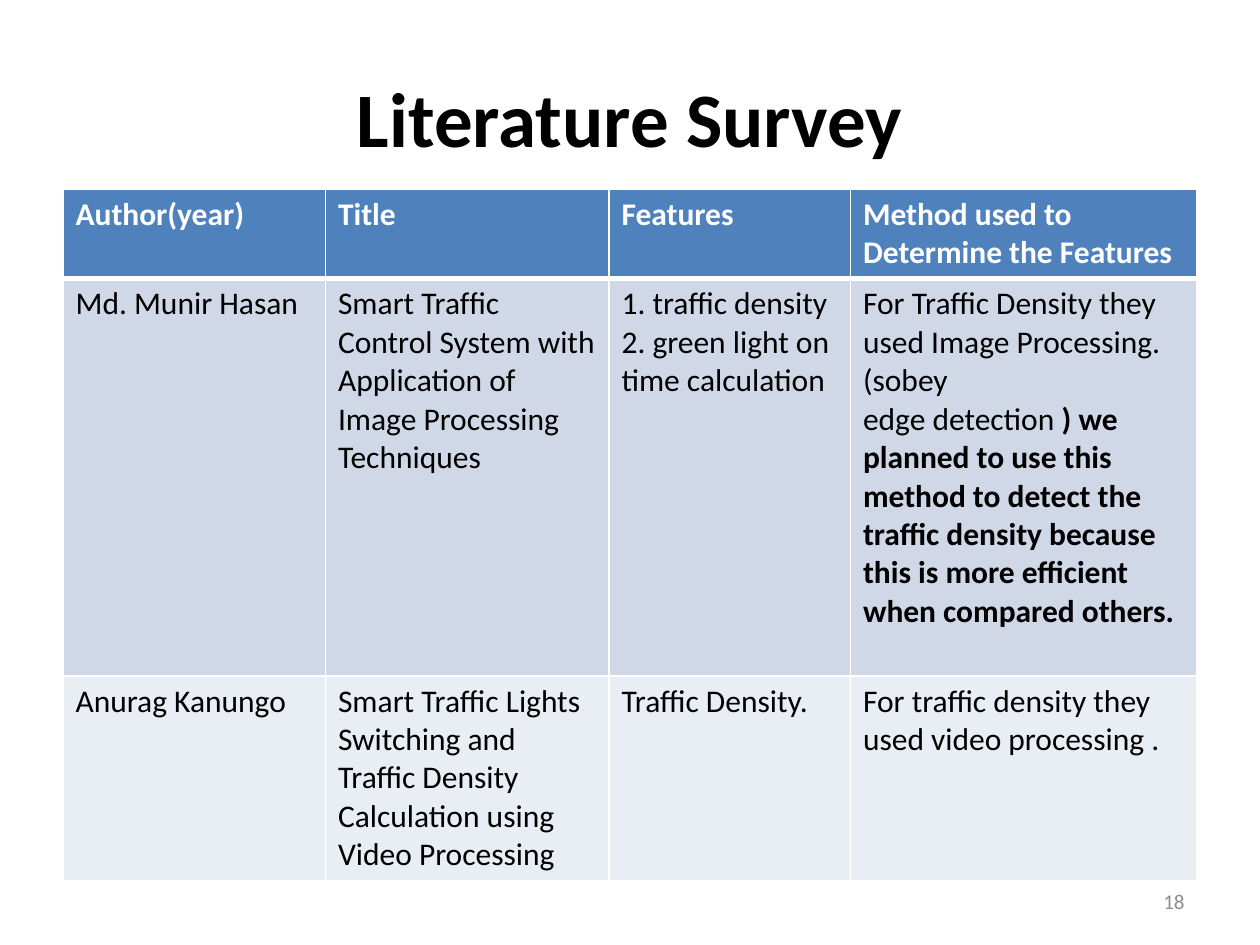
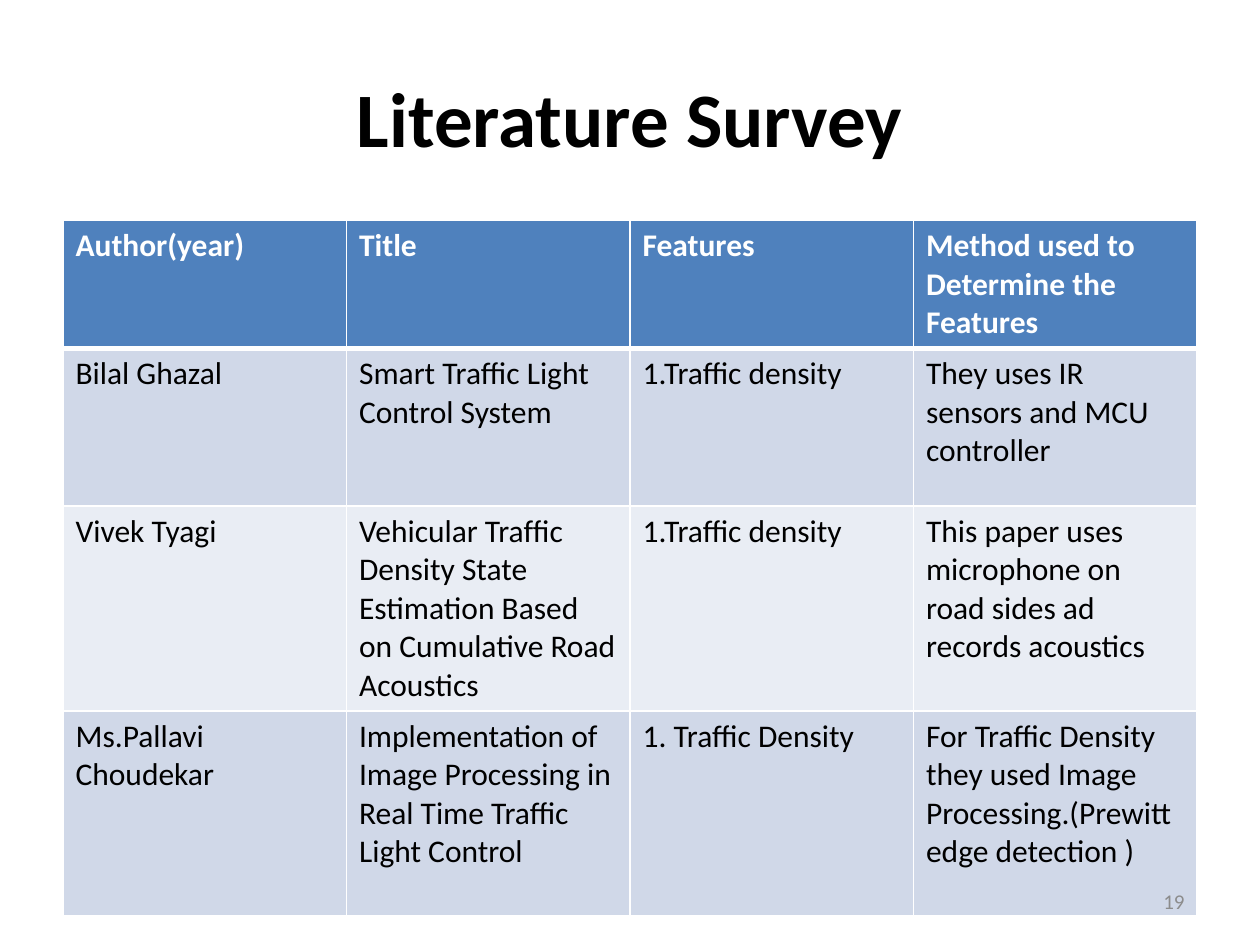
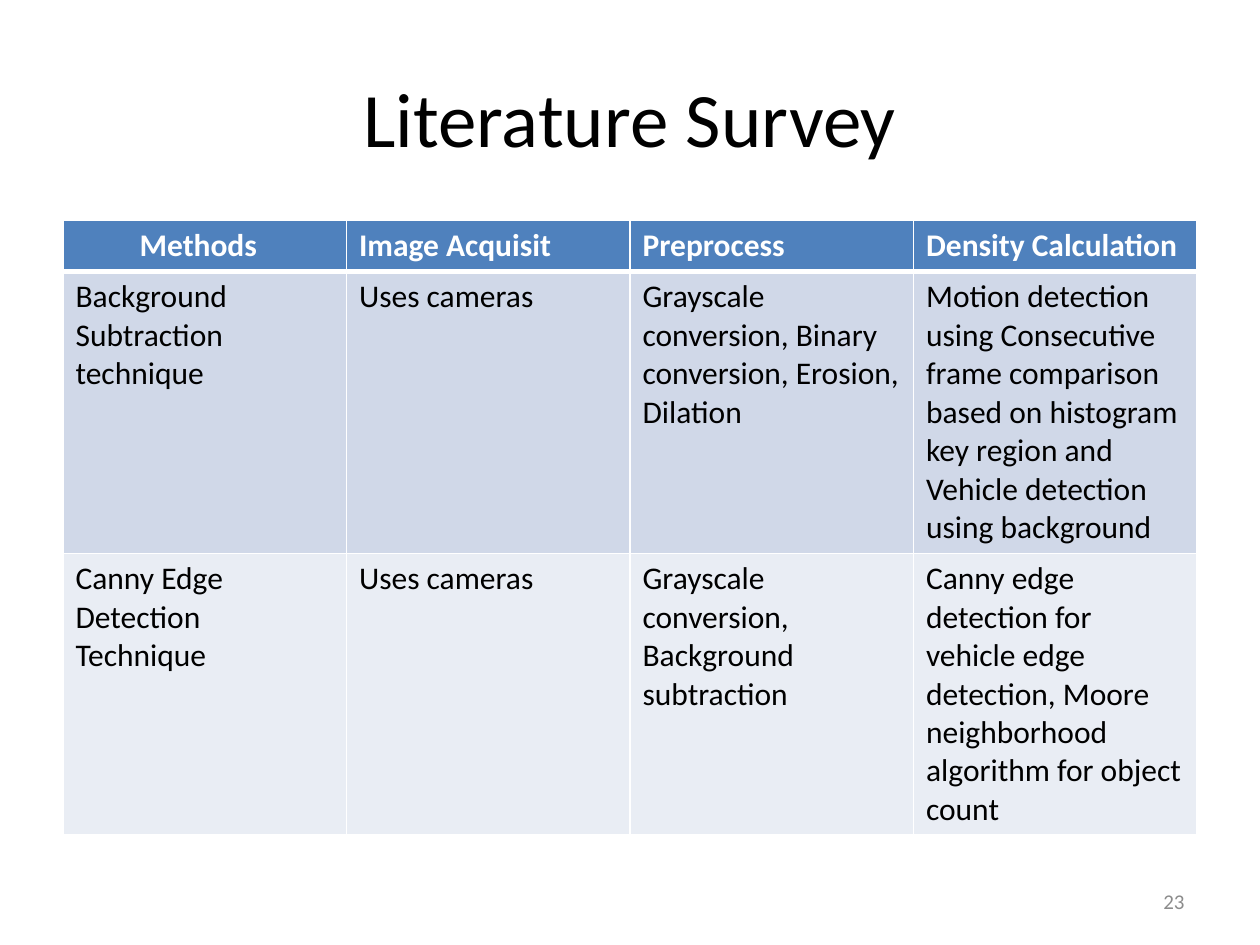
from lxml import etree
from pptx import Presentation
from pptx.dml.color import RGBColor
from pptx.enum.text import MSO_ANCHOR, PP_ALIGN
from pptx.oxml.ns import qn
from pptx.util import Pt

LEFT, CENTER, RIGHT = PP_ALIGN.LEFT, PP_ALIGN.CENTER, PP_ALIGN.RIGHT
MIDDLE = MSO_ANCHOR.MIDDLE

FONT = "Calibri"
BLACK, WHITE, GRAY = "000000", "FFFFFF", "8C8C8C"
HEADER_FILL = "4F81BD"
BAND_FILLS = ("D0D8E8", "E9EDF4")

SLIDE_SIZE = (720, 540)
TITLE_BOX = (36, 21.6, 648, 90)
NUMBER_BOX = (516, 500.4, 168, 28.8)
TABLE_LEFT, TABLE_WIDTH = 36, 648
EQUAL_COLUMNS = [TABLE_WIDTH / 4] * 4

SURVEY_HEADER = ["Author(year)", "Title", "Features", "Method used to Determine the Features"]

# A cell is a string or a list of paragraphs; a paragraph is a string or a list of (text, bold) runs.
SLIDES = [
    {
        "title": "Literature Survey", "title_bold": True, "number": "18", "table_top": 108,
        "columns": [150, 162, 138, 198], "row_heights": [51, 227, 117],
        "rows": [
            SURVEY_HEADER,
            ["Md. Munir Hasan",
             "Smart Trafﬁc Control System with Application of Image Processing Techniques",
             ["1. traffic density", "2. green light on time calculation"],
             ["For Traffic Density they used Image Processing. (sobey",
              [("edge detection ", False),
               (") we planned to use this method to detect the traffic density because "
                "this is more efficient when compared others.", True)]]],
            ["Anurag Kanungo",
             "Smart Traffic Lights Switching and Traffic Density Calculation using Video Processing",
             "Traffic Density.",
             "For traffic density they used video processing ."],
        ],
    },
    {
        "title": "Literature Survey", "title_bold": True, "number": "19", "table_top": 126,
        "columns": EQUAL_COLUMNS, "row_heights": [73, 90, 117, 117],
        "rows": [
            SURVEY_HEADER,
            ["Bilal Ghazal", "Smart Traffic Light Control System", "1.Traffic density",
             "They uses IR sensors and MCU controller"],
            ["Vivek Tyagi",
             "Vehicular Trafﬁc Density State Estimation Based on Cumulative Road Acoustics",
             "1.Traffic density",
             "This paper uses microphone on road sides ad records acoustics"],
            ["Ms.Pallavi Choudekar",
             "Implementation of Image Processing in Real Time Traffic Light Control",
             "1. Traffic Density",
             "For Traffic Density they used Image Processing.(Prewitt edge detection )"],
        ],
    },
    {
        "title": "Literature Survey", "title_bold": False, "number": "23", "table_top": 126,
        "columns": EQUAL_COLUMNS, "row_heights": [29, 161, 161],
        "first_header_indent": 36.6,
        "rows": [
            ["Methods", "Image Acquisit", "Preprocess", "Density Calculation"],
            ["Background Subtraction technique", "Uses cameras",
             "Grayscale conversion, Binary conversion, Erosion, Dilation",
             "Motion detection using Consecutive frame comparison based on histogram key region "
             "and Vehicle detection using background"],
            ["Canny Edge Detection Technique", "Uses cameras",
             "Grayscale conversion, Background subtraction",
             "Canny edge detection for vehicle edge detection, Moore neighborhood algorithm "
             "for object count"],
        ],
    },
]


def color(value):
    return RGBColor.from_string(value)


def write(frame, content, size=18, fill=BLACK, bold=False, align=LEFT, indent=0):
    paragraphs = [content] if isinstance(content, str) else content
    for index, runs in enumerate(paragraphs):
        paragraph = frame.add_paragraph() if index else frame.paragraphs[0]
        paragraph.alignment = align
        if indent:
            paragraph._p.get_or_add_pPr().set("marL", str(Pt(indent)))
        for text, run_bold in [(runs, bold)] if isinstance(runs, str) else runs:
            run = paragraph.add_run()
            run.text = text
            run.font.name = FONT
            run.font.size = Pt(size)
            run.font.bold = run_bold
            run.font.color.rgb = color(fill)


def style_cell(cell, fill, top_width, bottom_width):
    cell.fill.solid()
    cell.fill.fore_color.rgb = color(fill)
    properties = cell._tc.get_or_add_tcPr()
    borders = (("a:lnL", 1), ("a:lnR", 1), ("a:lnT", top_width), ("a:lnB", bottom_width))
    for position, (tag, width) in enumerate(borders):
        line = etree.Element(qn(tag), w=str(Pt(width)))
        solid = etree.SubElement(line, qn("a:solidFill"))
        etree.SubElement(solid, qn("a:srgbClr"), val=WHITE)
        properties.insert(position, line)


def add_title(slide, text, bold):
    title = slide.shapes.title
    title.left, title.top, title.width, title.height = map(Pt, TITLE_BOX)
    title.text_frame.vertical_anchor = MIDDLE
    write(title.text_frame, text, size=44, bold=bold, align=CENTER)


def add_survey_table(slide, data):
    rows, columns, heights = data["rows"], data["columns"], data["row_heights"]
    table = slide.shapes.add_table(
        len(rows), len(columns), Pt(TABLE_LEFT), Pt(data["table_top"]),
        Pt(TABLE_WIDTH), Pt(sum(heights))).table
    for column, width in zip(table.columns, columns):
        column.width = Pt(width)
    for row_index, (row, height) in enumerate(zip(rows, heights)):
        table.rows[row_index].height = Pt(height)
        is_header = row_index == 0
        fill = HEADER_FILL if is_header else BAND_FILLS[(row_index - 1) % 2]
        for column_index, content in enumerate(row):
            cell = table.cell(row_index, column_index)
            style_cell(cell, fill, 3 if row_index == 1 else 1, 3 if is_header else 1)
            indent = data.get("first_header_indent", 0) if row_index == column_index == 0 else 0
            write(cell.text_frame, content, fill=WHITE if is_header else BLACK,
                  bold=is_header, indent=indent)


def add_slide_number(slide, number):
    frame = slide.shapes.add_textbox(*map(Pt, NUMBER_BOX)).text_frame
    frame.word_wrap = True
    frame.vertical_anchor = MIDDLE
    write(frame, number, size=12, fill=GRAY, align=RIGHT)


def main():
    presentation = Presentation()
    presentation.slide_width, presentation.slide_height = map(Pt, SLIDE_SIZE)
    title_only = presentation.slide_layouts.get_by_name("Title Only")
    for data in SLIDES:
        slide = presentation.slides.add_slide(title_only)
        add_title(slide, data["title"], data["title_bold"])
        add_survey_table(slide, data)
        add_slide_number(slide, data["number"])
    presentation.save("out.pptx")


if __name__ == "__main__":
    main()
